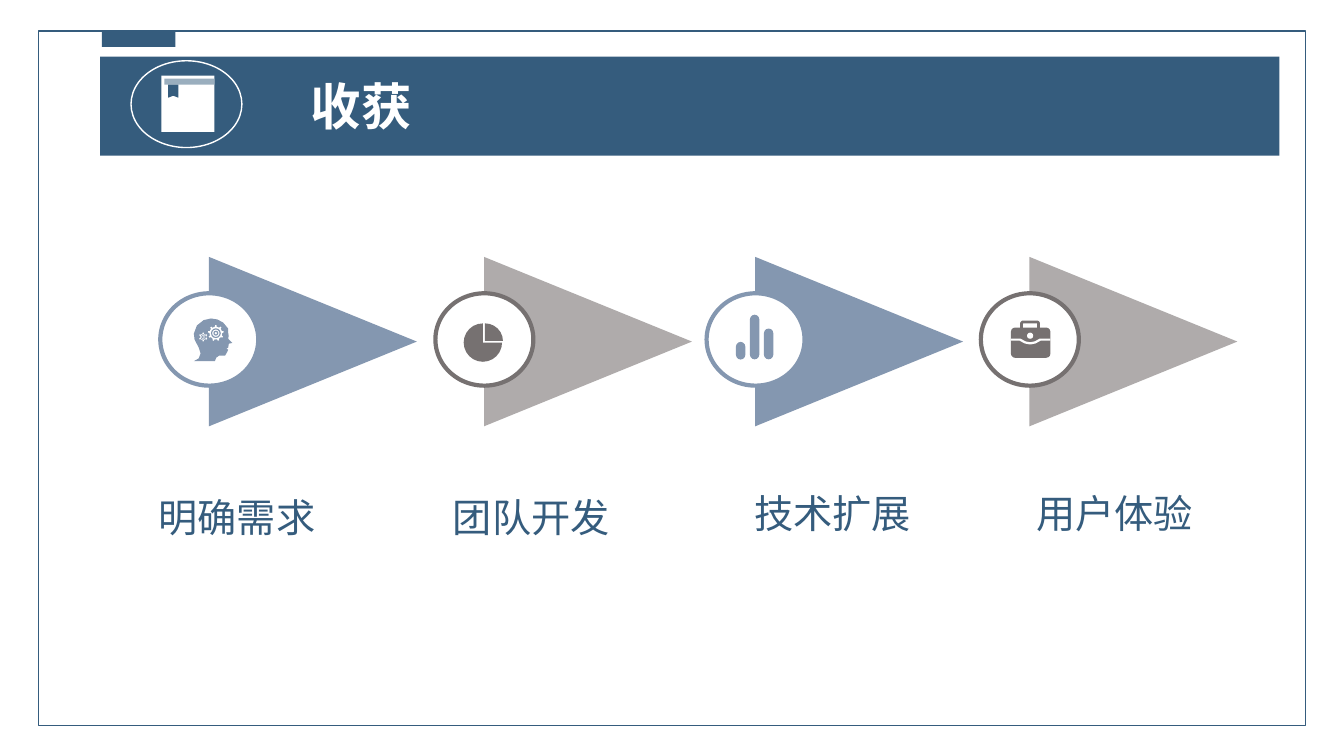
import pptx
import pptx.util
import pptx.dml.color
import pptx.enum.shapes
import pptx.enum.text

Pt = pptx.util.Pt
RGBColor = pptx.dml.color.RGBColor
KIND = pptx.enum.shapes.MSO_SHAPE
ALIGN = pptx.enum.text.PP_ALIGN
ANCHOR = pptx.enum.text.MSO_ANCHOR

NAVY = RGBColor(0x35, 0x5C, 0x7D)
STEEL = RGBColor(0x84, 0x97, 0xB0)
SILVER = RGBColor(0xAF, 0xAB, 0xAB)
GRAPHITE = RGBColor(0x76, 0x71, 0x71)
PAGE_EDGE = RGBColor(0x9A, 0xAE, 0xBE)
WHITE = RGBColor(0xFF, 0xFF, 0xFF)
FONT = "Noto Sans CJK SC"

TITLE = "收获"
STEPS = [
    ("明确需求", 114.5, 169.2, 369, STEEL, STEEL),
    ("团队开发", 311, 379.4, 369, SILVER, GRAPHITE),
    ("技术扩展", 504.7, 594.7, 366, STEEL, STEEL),
    ("用户体验", 700.6, 796.3, 366, SILVER, GRAPHITE),
]
ARROW_CENTER_Y = 244
ARROW_LENGTH, ARROW_SPAN = 148.5, 121
ARROW_OFFSET = 109
DISC_TOP, DISC_W, DISC_H = 209.5, 70, 66

HEAD = [
    (26.6, 16.6), (24.5, 14.4), (24.9, 12.5), (24.5, 10), (24.5, 7.2), (21, 3),
    (16.8, 0.7), (12.2, 0), (7, 1.2), (2.2, 5), (0, 10.8), (0.5, 15), (3.6, 21),
    (4.8, 25), (3.5, 28.5), (0, 30.5), (15, 30.5), (16, 28), (18, 26.6),
    (22.3, 26.6), (23.8, 24), (24.5, 22.3), (23.2, 21.6), (24.5, 20.9),
    (25, 18), (27.5, 17.5),
]
HEAD_LEFT, HEAD_TOP = 138.5, 227.5
GEARS = [
    (KIND.GEAR_6, 145.2, 240.7, 6.4, 3.8, 2),
    (KIND.GEAR_9, 154.2, 238, 11.4, 7, 3.5),
]
PIE_PARTS = [(331.2, 231, 27.4, 27.4, 0, 162), (333.5, 231, 25.8, 25, 162, 0)]
BARS = [(525.7, 244.2, 12.6), (535.7, 224.8, 31.9), (545.7, 234.7, 22)]
BAR_W = 6.7
CASE_FLAP = [(722.1, 242.6), (728.6, 242.6), (732.2, 244.6), (735.8, 245.3),
             (739.4, 244.6), (743, 242.6), (750.3, 242.6)]
BOOKMARK = [(120.2, 60.5), (127.4, 60.5), (127.4, 69.8), (123.8, 68.4), (120.2, 69.8)]

prs = pptx.Presentation()
prs.slide_width, prs.slide_height = Pt(960), Pt(540)
slide = prs.slides.add_slide(prs.slide_layouts[6])


def paint(part, fill, line, weight):
    part.shadow.inherit = False
    if fill is None:
        part.fill.background()
    else:
        part.fill.solid()
        part.fill.fore_color.rgb = fill
    if line is None:
        part.line.fill.background()
    else:
        part.line.color.rgb = line
        part.line.width = Pt(weight)
    return part


def draw(kind, left, top, width, height, fill=None, line=None, weight=1, adjust=()):
    part = slide.shapes.add_shape(kind, Pt(left), Pt(top), Pt(width), Pt(height))
    for index, value in enumerate(adjust):
        part.adjustments[index] = value
    return paint(part, fill, line, weight)


def draw_centered(kind, x, y, width, height, fill, adjust=()):
    return draw(kind, x - width / 2, y - height / 2, width, height, fill, adjust=adjust)


def outline(points, fill=None, line=None, weight=1, close=True):
    corners = [(Pt(x), Pt(y)) for x, y in points]
    builder = slide.shapes.build_freeform(*corners[0])
    builder.add_line_segments(corners[1:], close=close)
    return paint(builder.convert_to_shape(), fill, line, weight)


def write(text, left, middle, width, size, color, align, bold=False):
    height = size * 1.5
    box = slide.shapes.add_textbox(Pt(left), Pt(middle - height / 2), Pt(width), Pt(height))
    frame = box.text_frame
    frame.word_wrap = True
    frame.vertical_anchor = ANCHOR.MIDDLE
    frame.margin_left = frame.margin_right = frame.margin_top = frame.margin_bottom = 0
    paragraph = frame.paragraphs[0]
    paragraph.alignment = align
    run = paragraph.add_run()
    run.text = text
    run.font.size, run.font.bold, run.font.name = Pt(size), bold, FONT
    run.font.color.rgb = color
    fonts = run.font._element
    east_asian = fonts.makeelement(pptx.oxml.ns.qn("a:ea"), {"typeface": FONT})
    fonts.append(east_asian)


def draw_head(color):
    outline([(HEAD_LEFT + x, HEAD_TOP + y) for x, y in HEAD], color)
    for kind, x, y, size, ring, hub in GEARS:
        draw_centered(kind, x, y, size, size, WHITE)
        draw_centered(KIND.DONUT, x, y, ring, ring, color, [0.12])
        draw_centered(KIND.DONUT, x, y, hub, hub, color, [0.25])


def draw_pie(color):
    for left, top, width, height, start, end in PIE_PARTS:
        draw(KIND.PIE, left, top, width, height, color, adjust=(start, end))


def draw_bars(color):
    for left, top, height in BARS:
        draw(KIND.ROUNDED_RECTANGLE, left, top, BAR_W, height, color, adjust=[0.5])


def draw_briefcase(color):
    draw(KIND.ROUNDED_RECTANGLE, 729.7, 230, 12.2, 6, line=color, weight=2, adjust=[0.2])
    draw(KIND.ROUNDED_RECTANGLE, 722.1, 234, 28.2, 21.6, color, adjust=[0.14])
    outline(CASE_FLAP, line=WHITE, weight=1.6, close=False)
    draw_centered(KIND.OVAL, 735.8, 239.8, 4.4, 4.4, WHITE)


draw(KIND.RECTANGLE, 27.4, 22.3, 905, 496, line=NAVY)
draw(KIND.RECTANGLE, 72.7, 22, 52.6, 11.5, NAVY)

icons = [draw_head, draw_pie, draw_bars, draw_briefcase]
for (label, disc_left, label_x, label_y, arrow_color, icon_color), draw_icon in zip(STEPS, icons):
    arrow = draw_centered(KIND.ISOSCELES_TRIANGLE, disc_left + ARROW_OFFSET, ARROW_CENTER_Y,
                          ARROW_SPAN, ARROW_LENGTH, arrow_color)
    arrow.rotation = 90
    draw(KIND.OVAL, disc_left, DISC_TOP, DISC_W, DISC_H, WHITE, icon_color, 3)
    draw_icon(icon_color)
    write(label, label_x - 88, label_y, 176, 28, NAVY, ALIGN.CENTER)

draw(KIND.RECTANGLE, 71.5, 40.5, 842.4, 70.6, NAVY)
draw(KIND.RECTANGLE, 115.2, 54, 38, 40.3, WHITE)
draw(KIND.RECTANGLE, 117.4, 56.2, 35.8, 4.3, PAGE_EDGE)
outline(BOOKMARK, NAVY)
draw(KIND.OVAL, 93.6, 43.4, 79.2, 62, line=WHITE)
write(TITLE, 222, 75.5, 300, 36, WHITE, ALIGN.LEFT, True)

prs.save("out.pptx")
